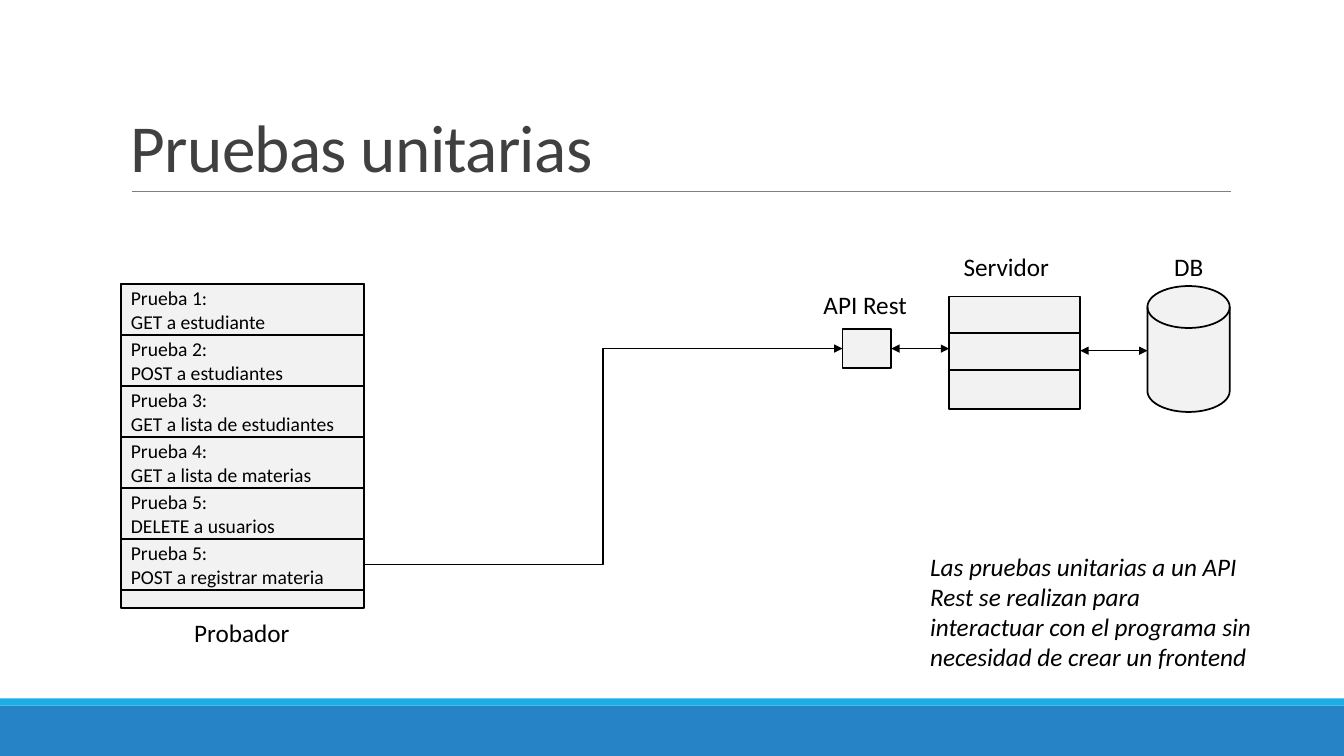
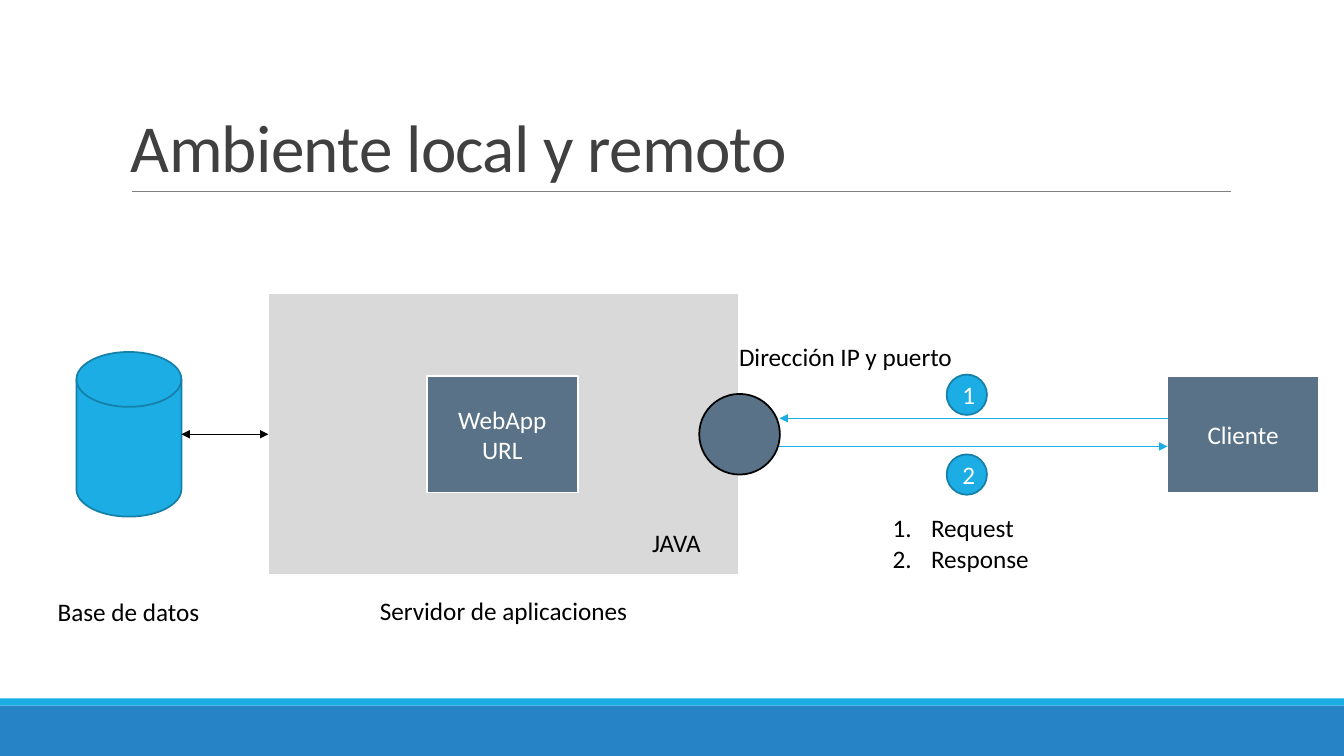
"""Builds two slides on web testing and hosting, on a grid of 160 columns by 90 rows."""
from lxml.etree import SubElement
from pptx import Presentation
from pptx.dml.color import RGBColor
from pptx.enum.shapes import MSO_CONNECTOR, MSO_SHAPE
from pptx.enum.text import MSO_ANCHOR, PP_ALIGN
from pptx.oxml.ns import qn
from pptx.util import Inches, Pt

FONT = "Calibri"
BLACK, WHITE, DARK, GRAY = "000000", "FFFFFF", "404040", "808080"
PALE, SILVER, SLATE = "F2F2F2", "D9D9D9", "597287"
BLUE, SKY, TEAL = "2683C6", "1CADE4", "1580A9"
COLS, ROWS = 160, 90


def grid(*cells):
    return [Inches(cell / 12) for cell in cells]


def paint(target, color):
    target.rgb = RGBColor.from_string(color)


def write(frame, text, size=18, color=BLACK, align=PP_ALIGN.LEFT, anchor=MSO_ANCHOR.TOP,
          wrap=True, italic=False, space=None, track=None, count=False):
    frame.word_wrap = wrap
    frame.vertical_anchor = anchor
    for index, line in enumerate(text.split("\n")):
        para = frame.add_paragraph() if index else frame.paragraphs[0]
        para.alignment = align
        if space:
            para.line_spacing = space
        if count:
            props = para._p.get_or_add_pPr()
            props.set("marL", str(Inches(0.38)))
            props.set("indent", str(Inches(-0.38)))
            SubElement(props, qn("a:buFont")).set("typeface", "+mj-lt")
            SubElement(props, qn("a:buAutoNum")).set("type", "arabicPeriod")
        run = para.add_run()
        run.text = line
        run.font.name, run.font.size, run.font.italic = FONT, Pt(size), italic
        paint(run.font.color, color)
        if track:
            run._r.get_or_add_rPr().set("spc", str(int(track * 100)))


class Deck:
    """Holds the shared style and the slide being drawn."""

    def __init__(self):
        self.file = Presentation()
        self.file.slide_width, self.file.slide_height = grid(COLS, ROWS)

    def start(self, title):
        self.slide = self.file.slides.add_slide(self.file.slide_layouts[6])
        self.shape(0, 84, COLS, 6, BLUE, None)
        self.shape(0, 83.15, COLS, 0.85, SKY, None)
        self.link(15.7, 22.8, 146.5, 22.8, GRAY, 0.5, tail=False)
        self.text(14.4, 3.7, 132, 19.1, title, size=48, color=DARK,
                  anchor=MSO_ANCHOR.BOTTOM, space=0.85, track=-0.5)

    def shape(self, x, y, w, h, fill=PALE, line=BLACK, kind=MSO_SHAPE.RECTANGLE,
              text="", **style):
        item = self.slide.shapes.add_shape(kind, *grid(x, y, w, h))
        item.shadow.inherit = False
        item.fill.solid()
        paint(item.fill.fore_color, fill)
        if line:
            paint(item.line.color, line)
            item.line.width = Pt(1.25)
        else:
            item.line.fill.background()
        if text:
            write(item.text_frame, text, anchor=MSO_ANCHOR.MIDDLE, **style)

    def block(self, x, y, w, h, text, fill=SLATE, line=WHITE, **style):
        self.shape(x, y, w, h, fill, line, text=text, color=WHITE,
                   align=PP_ALIGN.CENTER, **style)

    def disk(self, x, y, w, h, fill=PALE, line=BLACK):
        self.shape(x, y, w, h, fill, line, MSO_SHAPE.FLOWCHART_MAGNETIC_DISK)

    def text(self, x, y, w, h, text, **style):
        box = self.slide.shapes.add_textbox(*grid(x, y, w, h))
        write(box.text_frame, text, **style)

    def label(self, mid, y, text, w=18):
        self.text(mid - w / 2, y, w, 4.8, text, align=PP_ALIGN.CENTER)

    def link(self, x, y, right, low, color=BLACK, width=1, head=False, tail=True,
             kind=MSO_CONNECTOR.STRAIGHT):
        item = self.slide.shapes.add_connector(kind, *grid(x, y, right, low))
        paint(item.line.color, color)
        item.line.width = Pt(width)
        props = item._element.spPr
        stroke = props.find(qn("a:ln"))
        for name, shown in (("a:headEnd", head), ("a:tailEnd", tail)):
            if shown:
                SubElement(stroke, qn(name)).set("type", "triangle")
        SubElement(props, qn("a:effectLst"))


def tests(deck):
    deck.start("Pruebas unitarias")
    deck.disk(136.6, 34.05, 9.8, 15)
    for row in range(3):
        deck.shape(113, 35.3 + 4.36 * row, 15.6, 4.65)
    deck.shape(100.3, 39.2, 5.8, 4.6)
    deck.label(141.5, 29.35, "DB", w=10)
    deck.label(119.8, 29.35, "Servidor")
    deck.label(103, 33.85, "API Rest")
    deck.link(128.6, 41.75, 136.6, 41.75, head=True)
    deck.link(106.1, 41.5, 113, 41.5, head=True)
    deck.shape(14.4, 33.85, 28.9, 38.5)
    deck.label(28.8, 72.85, "Probador")
    calls = ("Prueba 1:\nGET a estudiante", "Prueba 2:\nPOST a estudiantes",
             "Prueba 3:\nGET a lista de estudiantes", "Prueba 4:\nGET a lista de materias",
             "Prueba 5:\nDELETE a usuarios", "Prueba 5:\nPOST a registrar materia")
    for row, call in enumerate(calls):
        deck.shape(14.4, 33.8 + 6.08 * row, 28.9, 6.08, text=call, size=14)
    deck.link(43.3, 67.2, 100.3, 41.5, kind=MSO_CONNECTOR.ELBOW)
    deck.text(109.55, 65, 41.3, 15.7, "Las pruebas unitarias a un API Rest se realizan para "
              "interactuar con el programa sin necesidad de crear un frontend", italic=True)


def hosting(deck):
    deck.start("Ambiente local y remoto")
    deck.shape(31.95, 34.9, 56, 33.6, SILVER, WHITE)
    deck.block(50.8, 44.75, 18, 13.9, "WebApp\nURL")
    deck.block(139, 44.75, 18, 13.9, "Cliente")
    deck.shape(83.25, 46.9, 9.6, 9.6, SLATE, BLACK, MSO_SHAPE.OVAL)
    deck.text(86.8, 40, 30.2, 4.8, "Dirección IP y puerto")
    deck.text(76.45, 62.15, 8.4, 4.8, "JAVA")
    deck.label(59.95, 70.3, "Servidor de aplicaciones", w=40)
    deck.label(15.3, 70.4, "Base de datos", w=24)
    deck.link(139, 49.8, 92.8, 49.8, SKY)
    deck.link(92.8, 53.15, 139, 53.15, SKY)
    for step, y in (("1", 44.6), ("2", 54.1)):
        deck.block(112.7, y, 4.8, 4.8, step, SKY, TEAL, kind=MSO_SHAPE.OVAL)
    deck.text(105.1, 60.45, 29.8, 8.5, "Request\nResponse", count=True)
    deck.disk(9.1, 41.9, 12.5, 19.6, SKY, TEAL)
    deck.link(21.6, 51.7, 31.95, 51.7, head=True)


deck = Deck()
tests(deck)
hosting(deck)
deck.file.save("out.pptx")
